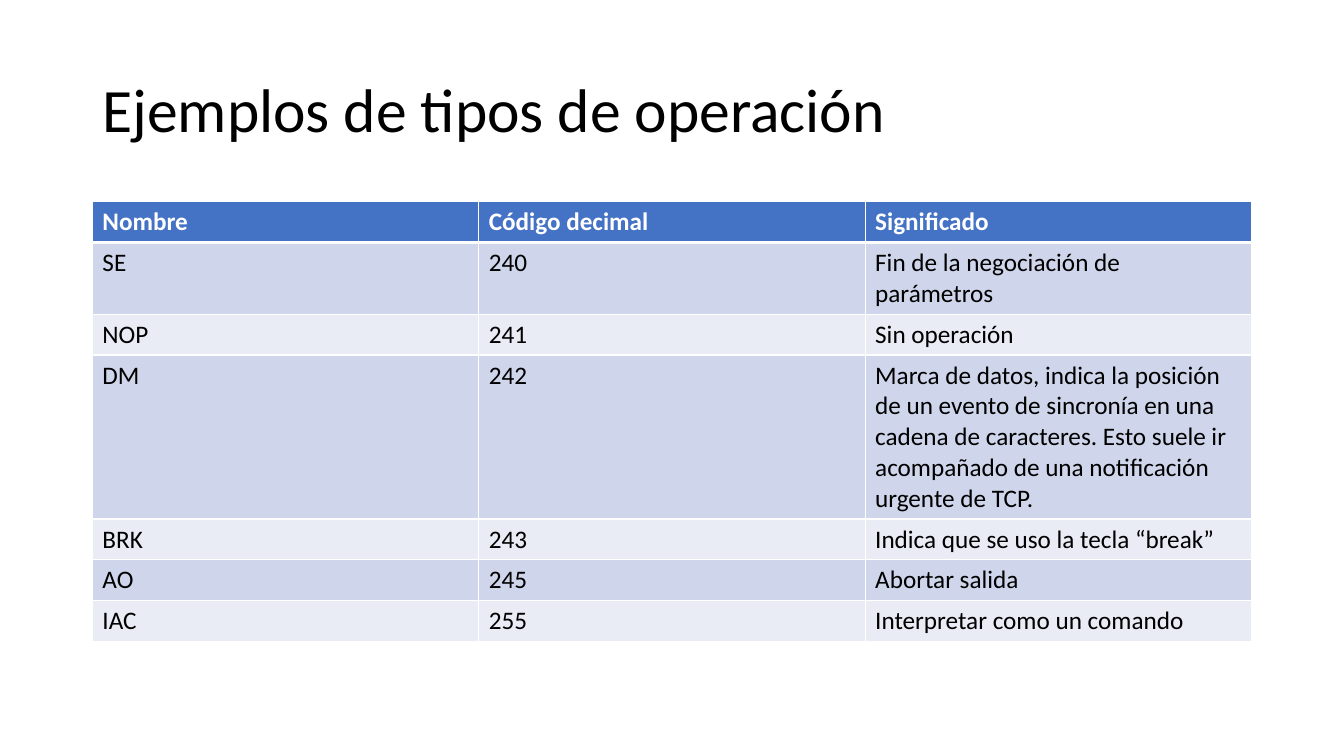
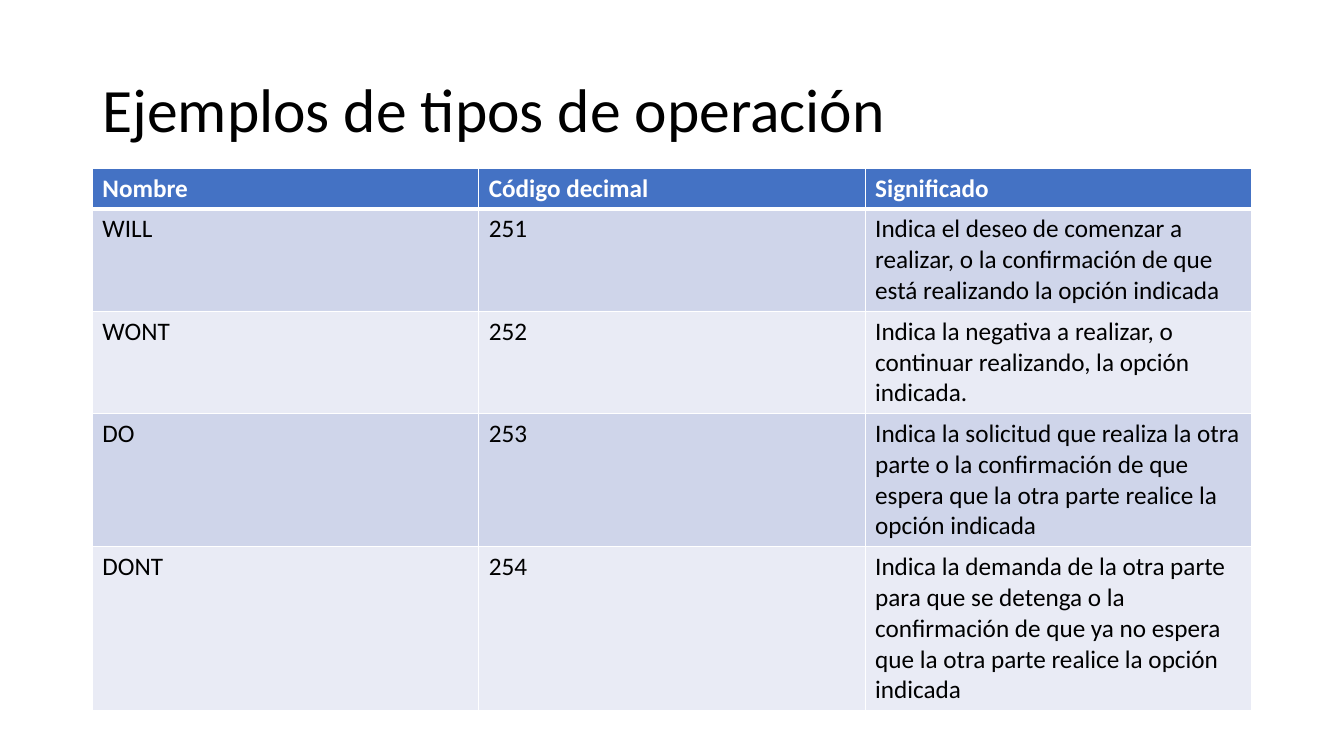
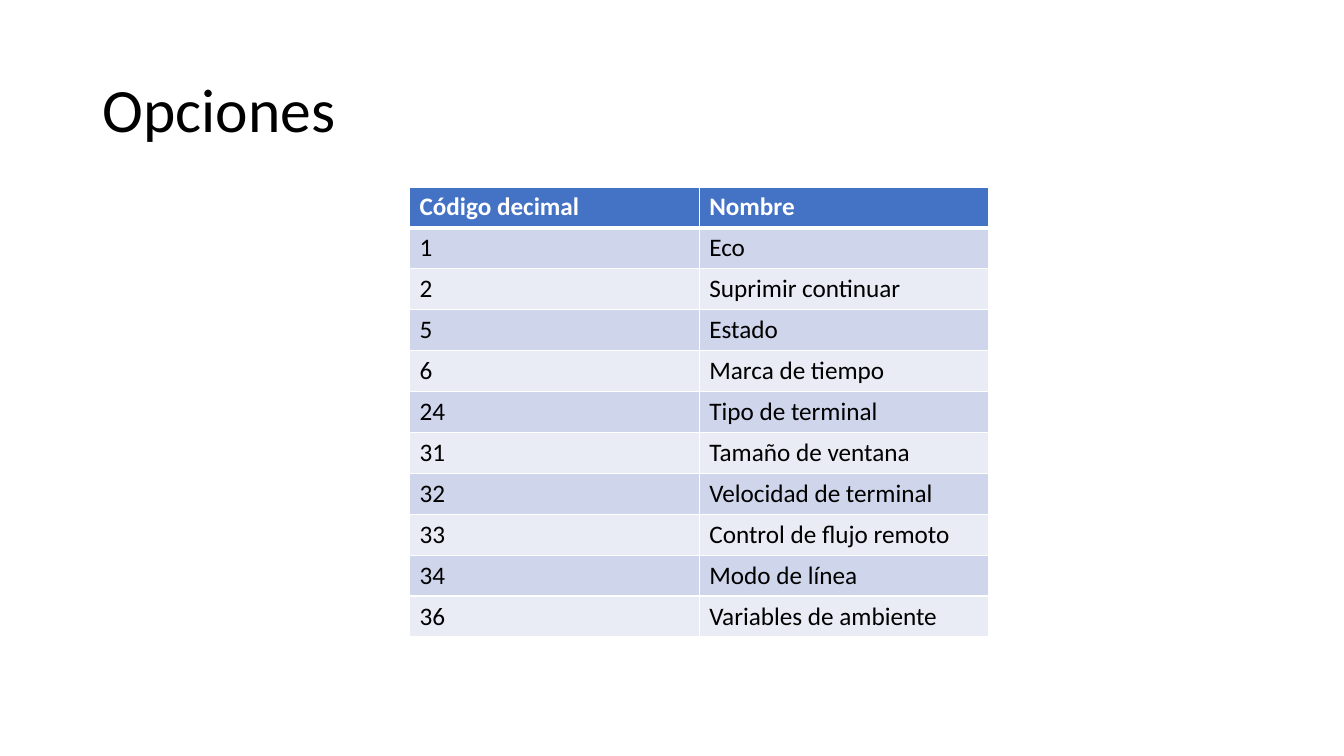
from dataclasses import dataclass

from lxml import etree
from pptx import Presentation
from pptx.dml.color import RGBColor
from pptx.enum.text import MSO_ANCHOR, PP_ALIGN
from pptx.oxml.ns import qn
from pptx.util import Emu, Pt

MIDDLE = MSO_ANCHOR.MIDDLE
LEFT = PP_ALIGN.LEFT

EMU_PER_PX = 9525
PAGE_SIZE = (1280, 720)
TITLE_BOX = (88, 38, 1104, 139)
ROW_HEIGHT = 39
TITLE_ONLY = 5

FONT = "Calibri"
BLACK, WHITE = "000000", "FFFFFF"
HEADER_FILL = "4472C4"
BAND_FILLS = ("E9EBF5", "CFD5EA")
THIN, THICK = 1, 3

TITLE_FORMAT = {"name": FONT, "size": Pt(44), "bold": False}
HEADER_FORMAT = {"name": FONT, "size": Pt(18), "bold": True}
BODY_FORMAT = {**HEADER_FORMAT, "bold": False}


@dataclass(frozen=True)
class TablePage:
    title: str
    left: int
    top: int
    column_width: int
    header: tuple[str, ...]
    body: tuple[tuple[str, ...], ...]
    first_body_height: int = ROW_HEIGHT


OPERATION_TITLE = "Ejemplos de tipos de operación"
OPERATION_HEADER = ("Nombre", "Código decimal", "Significado")

PAGES = (
    TablePage(
        OPERATION_TITLE, 88, 192, 368, OPERATION_HEADER,
        (
            ("SE", "240", "Fin de la negociación de parámetros"),
            ("NOP", "241", "Sin operación"),
            ("DM", "242", "Marca de datos, indica la posición de un evento de sincronía "
             "en una cadena de caracteres. Esto suele ir acompañado de una "
             "notificación urgente de TCP."),
            ("BRK", "243", "Indica que se uso la tecla “break”"),
            ("AO", "245", "Abortar salida"),
            ("IAC", "255", "Interpretar como un comando"),
        ),
    ),
    TablePage(
        OPERATION_TITLE, 88, 160, 368, OPERATION_HEADER,
        (
            ("WILL", "251", "Indica el deseo de comenzar a realizar, o la confirmación "
             "de que está realizando la opción indicada"),
            ("WONT", "252", "Indica la negativa a realizar, o continuar realizando, "
             "la opción indicada."),
            ("DO", "253", "Indica la solicitud que realiza la otra parte o la "
             "confirmación de que espera que la otra parte realice la opción indicada"),
            ("DONT", "254", "Indica la demanda de la otra parte para que se detenga o la "
             "confirmación de que ya no espera que la otra parte realice la opción "
             "indicada"),
        ),
        first_body_height=55,
    ),
    TablePage(
        "Opciones", 390, 178, 276, ("Código decimal", "Nombre"),
        (
            ("1", "Eco"),
            ("2", "Suprimir continuar"),
            ("5", "Estado"),
            ("6", "Marca de tiempo"),
            ("24", "Tipo de terminal"),
            ("31", "Tamaño de ventana"),
            ("32", "Velocidad de terminal"),
            ("33", "Control de flujo remoto"),
            ("34", "Modo de línea"),
            ("36", "Variables de ambiente"),
        ),
    ),
)


def px(length: int) -> Emu:
    return Emu(length * EMU_PER_PX)


def color(value: str) -> RGBColor:
    return RGBColor.from_string(value)


def format_font(font, values: dict, font_color: str) -> None:
    for name, value in values.items():
        setattr(font, name, value)
    font.color.rgb = color(font_color)


def add_title(page, text: str) -> None:
    title = page.shapes.title
    title.left, title.top, title.width, title.height = map(px, TITLE_BOX)
    title.text_frame.text = text
    title.text_frame.vertical_anchor = MIDDLE
    para = title.text_frame.paragraphs[0]
    para.alignment = LEFT
    para.line_spacing = 0.9
    format_font(para.runs[0].font, TITLE_FORMAT, BLACK)


def add_borders(cell, top: int, bottom: int) -> None:
    """Draw white cell borders; widths are in points. Call before filling the cell."""
    properties = cell._tc.get_or_add_tcPr()
    for side, width in {"L": THIN, "R": THIN, "T": top, "B": bottom}.items():
        line = etree.SubElement(properties, qn(f"a:ln{side}"), w=str(Pt(width)))
        fill = etree.SubElement(line, qn("a:solidFill"))
        etree.SubElement(fill, qn("a:srgbClr"), val=WHITE)


def format_cell(cell, text: str, row_index: int) -> None:
    is_header = row_index == 0
    add_borders(
        cell,
        top=THICK if row_index == 1 else THIN,
        bottom=THICK if is_header else THIN,
    )
    cell.fill.solid()
    cell.fill.fore_color.rgb = color(HEADER_FILL if is_header else BAND_FILLS[row_index % 2])
    cell.text = text
    format_font(
        cell.text_frame.paragraphs[0].runs[0].font,
        HEADER_FORMAT if is_header else BODY_FORMAT,
        WHITE if is_header else BLACK,
    )


def add_table(page, content: TablePage) -> None:
    rows = (content.header, *content.body)
    columns = len(content.header)
    frame = page.shapes.add_table(
        len(rows), columns, px(content.left), px(content.top),
        px(columns * content.column_width), px(len(rows) * ROW_HEIGHT),
    )
    table = frame.table
    for column in table.columns:
        column.width = px(content.column_width)
    for row_index, texts in enumerate(rows):
        height = content.first_body_height if row_index == 1 else ROW_HEIGHT
        table.rows[row_index].height = px(height)
        for column_index, text in enumerate(texts):
            format_cell(table.cell(row_index, column_index), text, row_index)


def main() -> None:
    deck = Presentation()
    deck.slide_width, deck.slide_height = map(px, PAGE_SIZE)
    for content in PAGES:
        page = deck.slides.add_slide(deck.slide_layouts[TITLE_ONLY])
        add_title(page, content.title)
        add_table(page, content)
    deck.save("out.pptx")


if __name__ == "__main__":
    main()
